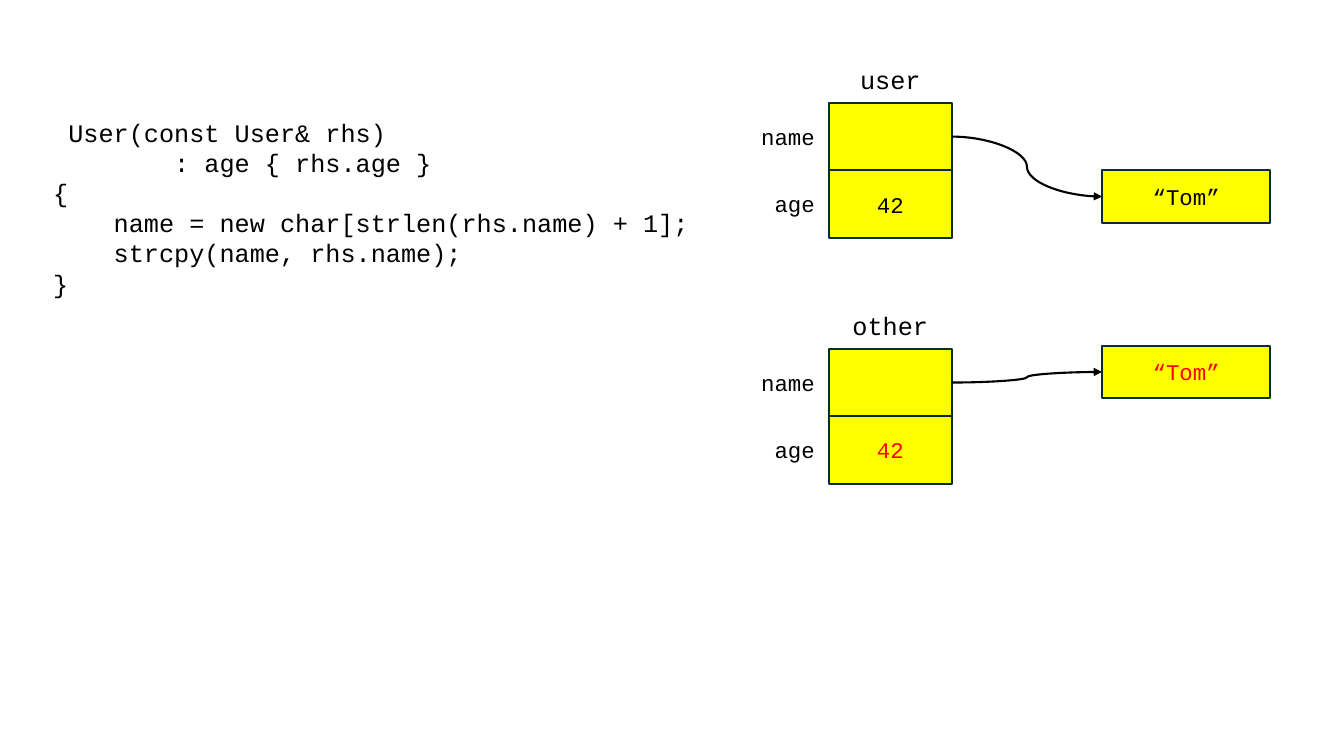
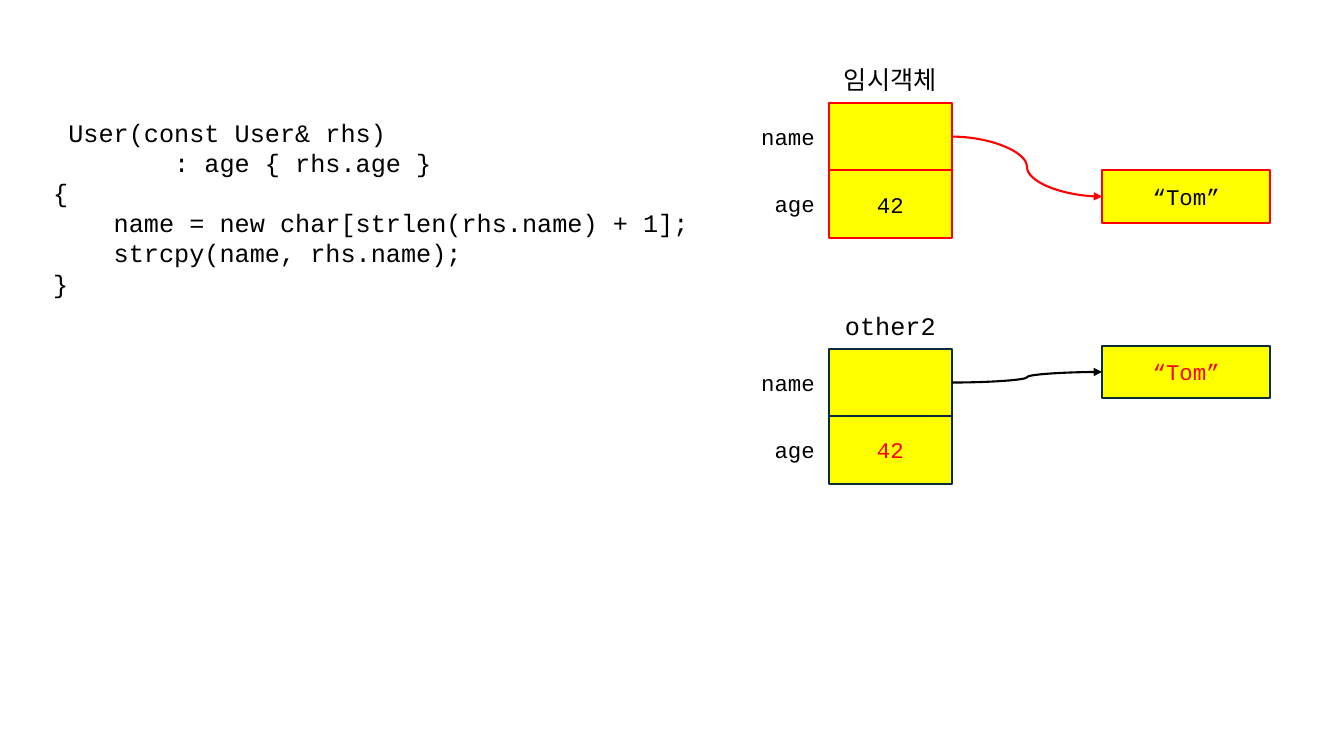
from pptx import Presentation
from pptx.dml.color import RGBColor
from pptx.enum.shapes import MSO_CONNECTOR as Link, MSO_SHAPE as Shape
from pptx.enum.text import MSO_ANCHOR as Anchor, PP_ALIGN as Align
from pptx.oxml.ns import qn
from pptx.util import Pt
from lxml.etree import SubElement

PX = 9144
FONT = "Courier New"
BLACK, RED, YELLOW, NAVY = "000000", "FF0000", "FFFF00", "092A39"
CODE = """ User(const User& rhs)
        : age { rhs.age }
{
    name = new char[strlen(rhs.name) + 1];
    strcpy(name, rhs.name);
}"""
LEFT, WIDE, CELL = 822, 122, 67
PAIRS = [("user", "other", NAVY, BLACK), ("임시객체", "other2", RED, RED)]


def paint(part, hue):
    part.solid()
    part.fore_color.rgb = RGBColor.from_string(hue)


def write(frame, text, size=16, hue=BLACK, align=Align.CENTER):
    for i, line in enumerate(text.split("\n")):
        para = frame.add_paragraph() if i else frame.paragraphs[0]
        para.alignment = align
        run = para.add_run()
        run.text = line
        run.font.name = FONT
        run.font.size = Pt(size)
        paint(run.font.fill, hue)


class Deck:
    """Draws memory diagrams in one style on the current slide."""

    def __init__(self):
        self.show = Presentation()
        self.show.slide_width = 1333 * PX
        self.show.slide_height = 750 * PX

    def page(self):
        layout = self.show.slide_layouts[6]
        self.shapes = self.show.slides.add_slide(layout).shapes

    def label(self, text, x, y, w, h, wrap=False, **style):
        box = self.shapes.add_textbox(x * PX, y * PX, w * PX, h * PX)
        box.text_frame.word_wrap = wrap
        write(box.text_frame, text, **style)

    def cell(self, x, y, w, h, edge, text="", **style):
        box = self.shapes.add_shape(Shape.RECTANGLE, x * PX, y * PX, w * PX, h * PX)
        box.shadow.inherit = False
        paint(box.fill, YELLOW)
        paint(box.line.fill, edge)
        box.line.width = Pt(1.5)
        box.text_frame.vertical_anchor = Anchor.MIDDLE
        if text:
            write(box.text_frame, text, **style)
        return box

    def arrow(self, start, end, hue):
        link = self.shapes.add_connector(Link.CURVE, 0, 0, 0, 0)
        link.begin_connect(start, 3)
        link.end_connect(end, 1)
        paint(link.line.fill, hue)
        link.line.width = Pt(1.5)
        SubElement(link.line._get_or_add_ln(), qn("a:tailEnd"), type="triangle")
        SubElement(link._element.spPr, qn("a:effectLst"))

    def record(self, title, top, goal, edge=NAVY, wire=BLACK, hue=BLACK):
        self.label(title, LEFT, top - 43, WIDE, 40, size=18)
        for i, field in enumerate(("name", "age")):
            self.label(field, 744, top + 15 + i * CELL, 74, 37, align=Align.RIGHT)
        slot = self.cell(LEFT, top, WIDE, CELL, edge)
        self.cell(LEFT, top + CELL, WIDE, CELL, edge, "42", hue=hue)
        value = self.cell(1093, goal, 167, 52, edge, "“Tom”", hue=hue)
        self.arrow(slot, value, wire)


def main():
    deck = Deck()
    for first, second, edge, wire in PAIRS:
        deck.page()
        deck.record(first, 102, 169, edge, wire)
        deck.record(second, 346, 343, hue=RED)
        deck.label(CODE, 43, 111, 667, 192, wrap=True, size=18, align=Align.LEFT)
    deck.show.save("out.pptx")


if __name__ == "__main__":
    main()
